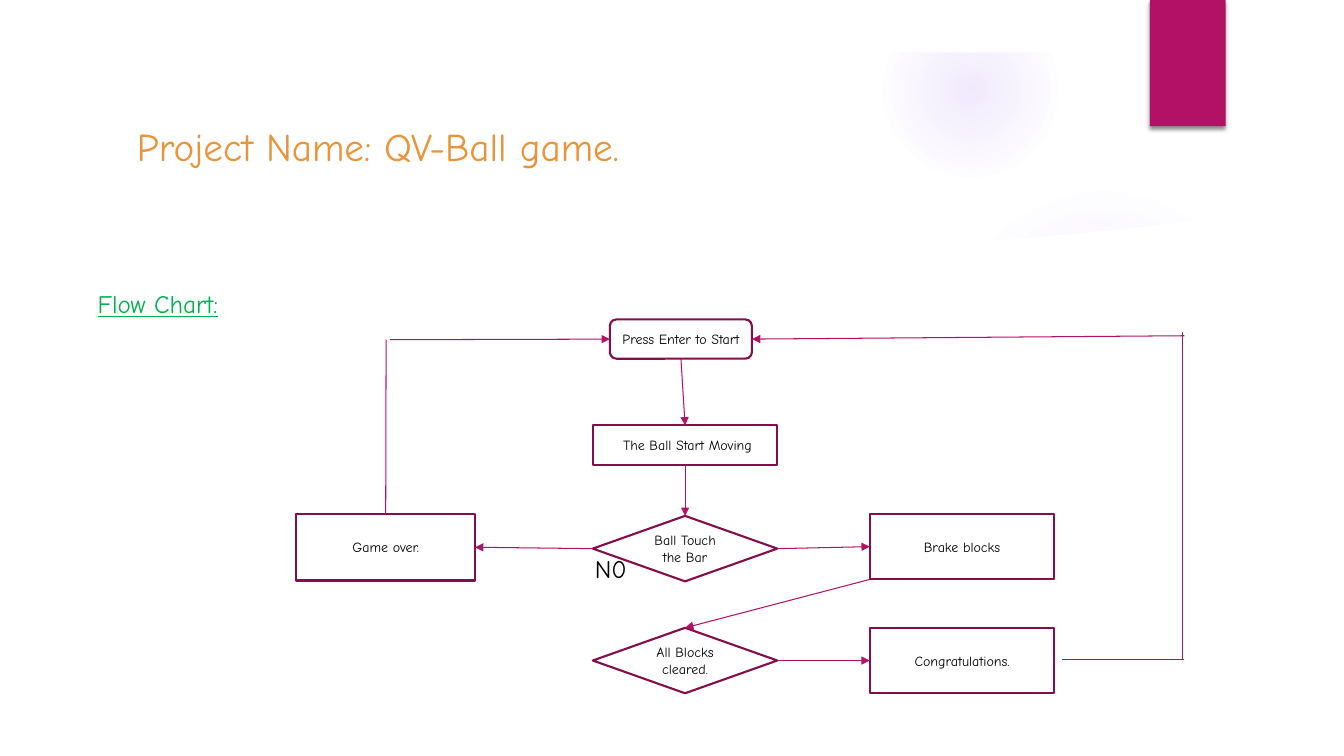
from lxml import etree
from pptx import Presentation
from pptx.dml.color import RGBColor
from pptx.enum.shapes import MSO_CONNECTOR, MSO_SHAPE
from pptx.enum.text import MSO_ANCHOR, PP_ALIGN
from pptx.oxml import parse_xml
from pptx.oxml.ns import nsdecls, qn
from pptx.util import Cm, Pt

FONT = "Comic Neue"
WHITE = RGBColor(0xFF, 0xFF, 0xFF)
BLACK = RGBColor(0x00, 0x00, 0x00)
ORANGE = RGBColor(0xE9, 0x94, 0x3A)
GREEN = RGBColor(0x00, 0xB0, 0x50)
MAGENTA = RGBColor(0xB3, 0x11, 0x66)
PLUM = RGBColor(0x84, 0x0D, 0x4B)
VIOLET = RGBColor(0x9B, 0x6B, 0xF2)

TOP, LEFT, BOTTOM, RIGHT = range(4)
SLIDE_WIDTH, SLIDE_HEIGHT = 33.87, 19.05

GLOWS = [
    (23.9, 4.65, 7.82, [(0, 7), (36, 6), (69, 0)]),
    (22.23, 0.03, 4.45, [(0, 14), (36, 7), (73, 0)]),
]
WAVE = [
    (1.27, 5.18), (1.27, 17.78), (32.61, 17.78), (32.61, 5.18), (30.48, 5.51),
    (28.35, 5.77), (26.21, 5.97), (24.1, 6.12), (21.34, 6.25), (18.64, 6.3),
    (16.05, 6.27), (10.19, 6.05), (5.49, 5.6),
]
FRAME_OUTER = [(0, 0), (0, SLIDE_HEIGHT), (SLIDE_WIDTH, SLIDE_HEIGHT), (SLIDE_WIDTH, 0)]
FRAME_INNER = [(32.54, 17.73), (1.32, 17.73), (1.32, 1.32), (32.54, 1.32)]

STEPS = {
    "start": (MSO_SHAPE.ROUNDED_RECTANGLE, 15.37, 8.05, 3.58, 0.99, "Press Enter to Start"),
    "moving": (MSO_SHAPE.RECTANGLE, 14.94, 10.72, 4.65, 0.99, " The Ball Start Moving"),
    "touch": (MSO_SHAPE.DIAMOND, 14.94, 13, 4.65, 1.65, "Ball Touch the Bar"),
    "brake": (MSO_SHAPE.RECTANGLE, 21.92, 12.95, 4.65, 1.65, "Brake blocks"),
    "over": (MSO_SHAPE.RECTANGLE, 7.47, 12.95, 4.5, 1.68, "Game over."),
    "cleared": (MSO_SHAPE.DIAMOND, 14.94, 15.82, 4.65, 1.65, "All Blocks cleared."),
    "congrats": (MSO_SHAPE.RECTANGLE, 21.92, 15.82, 4.65, 1.65, "Congratulations."),
}
LINKS = [
    ((26.77, 16.61), (29.85, 16.61), False),
    ((29.79, 16.61), (29.79, 8.36), False),
    ((29.85, 8.46), ("start", RIGHT), True),
    (("touch", LEFT), ("over", RIGHT), True),
    (("touch", RIGHT), ("brake", LEFT), True),
    (("cleared", RIGHT), ("congrats", LEFT), True),
    ((21.92, 14.6), ("cleared", TOP), True),
    (("over", TOP), (9.73, 8.56), False),
    ((9.83, 8.56), ("start", LEFT), True),
    (("start", BOTTOM), ("moving", TOP), True),
    (("moving", BOTTOM), ("touch", TOP), True),
]


def add_plain_shape(page, kind, left, top, width, height, fill):
    shape = page.shapes.add_shape(kind, Cm(left), Cm(top), Cm(width), Cm(height))
    shape.fill.solid()
    shape.fill.fore_color.rgb = fill
    shape.line.fill.background()
    shape.shadow.inherit = False
    return shape


def add_glow(page, left, top, size, stops):
    glow = add_plain_shape(page, MSO_SHAPE.OVAL, left, top, size, size, VIOLET)
    stop_xml = "".join(
        f'<a:gs pos="{position * 1000}"><a:srgbClr val="{VIOLET}">'
        f'<a:alpha val="{alpha * 1000}"/></a:srgbClr></a:gs>'
        for position, alpha in stops
    )
    gradient = parse_xml(
        f'<a:gradFill {nsdecls("a")} rotWithShape="1"><a:gsLst>{stop_xml}</a:gsLst>'
        '<a:path path="circle"><a:fillToRect l="50000" t="50000" r="50000" b="50000"/>'
        "</a:path></a:gradFill>"
    )
    properties = glow.element.spPr
    properties.replace(properties.find(qn("a:solidFill")), gradient)


def add_cover(page, *outlines):
    contours = [[(Cm(x), Cm(y)) for x, y in outline] for outline in outlines]
    builder = page.shapes.build_freeform(*contours[0][0], scale=1.0)
    builder.add_line_segments(contours[0][1:], close=True)
    for contour in contours[1:]:
        builder.move_to(*contour[0])
        builder.add_line_segments(contour[1:], close=True)
    cover = builder.convert_to_shape()
    cover.fill.solid()
    cover.fill.fore_color.rgb = WHITE
    cover.line.fill.background()
    cover.shadow.inherit = False


def add_ribbon(page):
    ribbon = add_plain_shape(page, MSO_SHAPE.RECTANGLE, 28.98, 0, 1.91, 3.18, MAGENTA)
    effects = ribbon.element.spPr.find(qn("a:effectLst"))
    effects.append(parse_xml(
        f'<a:outerShdw {nsdecls("a")} blurRad="{Pt(3)}" dist="{Pt(2)}" dir="5400000">'
        f'<a:srgbClr val="{BLACK}"><a:alpha val="45000"/></a:srgbClr></a:outerShdw>'
    ))


def write(shape, text, size, color, align=PP_ALIGN.LEFT, anchor=MSO_ANCHOR.TOP):
    frame = shape.text_frame
    frame.word_wrap = True
    frame.vertical_anchor = anchor
    para = frame.paragraphs[0]
    para.text = text
    para.alignment = align
    para.font.name = FONT
    para.font.size = Pt(size)
    para.font.color.rgb = color
    return para


def add_text(page, left, top, width, height, text, size, color, anchor=MSO_ANCHOR.TOP):
    box = page.shapes.add_textbox(Cm(left), Cm(top), Cm(width), Cm(height))
    return write(box, text, size, color, anchor=anchor)


def add_step(page, kind, left, top, width, height, text):
    step = add_plain_shape(page, kind, left, top, width, height, WHITE)
    step.line.color.rgb = PLUM
    step.line.width = Pt(1.5)
    write(step, text, 10, BLACK, PP_ALIGN.CENTER, MSO_ANCHOR.MIDDLE)
    return step


def add_link(page, steps, start, end, arrow):
    points = [(0, 0) if point[0] in steps else point for point in (start, end)]
    lengths = [Cm(value) for point in points for value in point]
    link = page.shapes.add_connector(MSO_CONNECTOR.STRAIGHT, *lengths)
    for point, connect in ((start, link.begin_connect), (end, link.end_connect)):
        if point[0] in steps:
            connect(steps[point[0]], point[1])
    link.line.color.rgb = MAGENTA
    link.line.width = Pt(0.75)
    properties = link.element.spPr
    if arrow:
        etree.SubElement(properties.find(qn("a:ln")), qn("a:tailEnd"), type="triangle")
    etree.SubElement(properties, qn("a:effectLst"))


def main():
    deck = Presentation()
    deck.slide_width, deck.slide_height = Cm(SLIDE_WIDTH), Cm(SLIDE_HEIGHT)
    page = deck.slides.add_slide(deck.slide_layouts[6])
    for glow in GLOWS:
        add_glow(page, *glow)
    add_cover(page, WAVE)
    add_cover(page, FRAME_OUTER, FRAME_INNER)
    add_ribbon(page)
    add_text(page, 3.2, 2.69, 24.33, 1.96, "Project Name: QV-Ball game.", 28, ORANGE,
             MSO_ANCHOR.MIDDLE)
    heading = add_text(page, 2.21, 7.14, 5, 1.1, "Flow Chart:", 18, GREEN)
    heading.font.underline = True
    add_text(page, 14.74, 13.82, 2, 1.1, "N0", 18, BLACK)
    steps = {name: add_step(page, *step) for name, step in STEPS.items()}
    for link in LINKS:
        add_link(page, steps, *link)
    deck.save("out.pptx")


if __name__ == "__main__":
    main()
